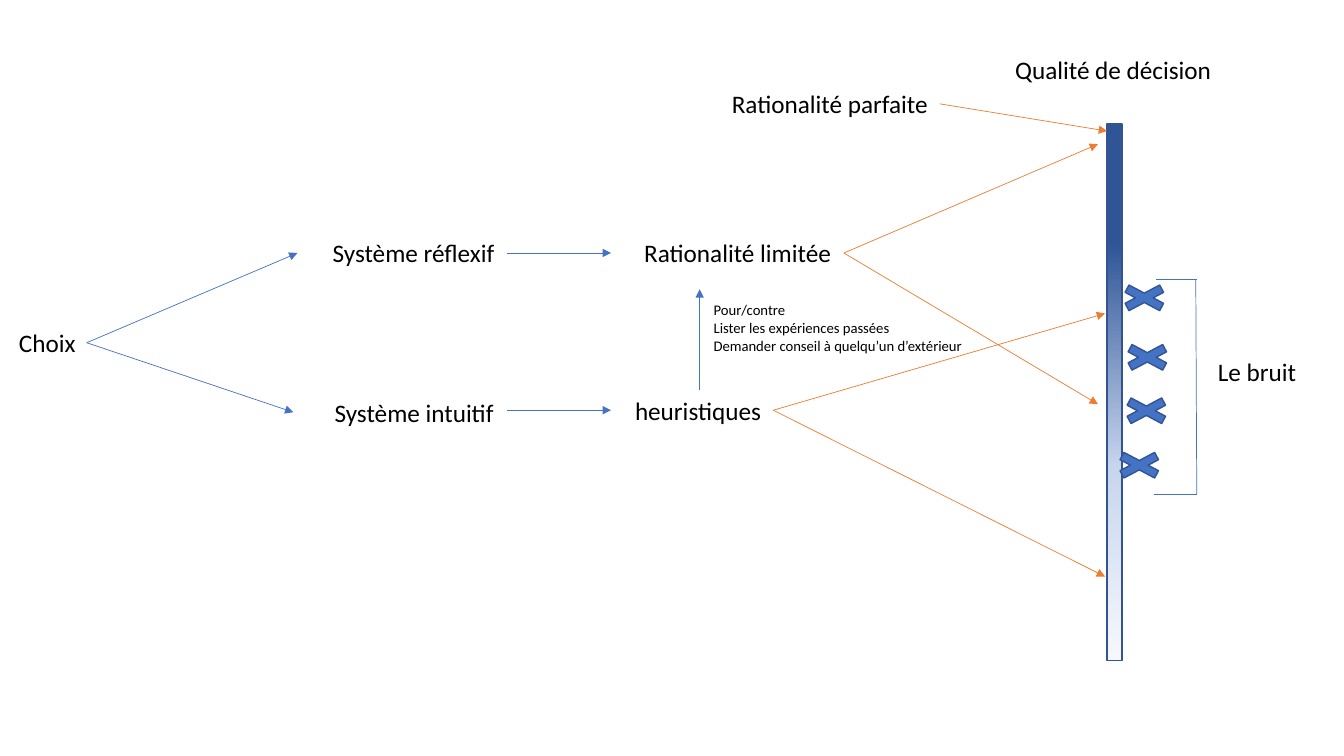
from copy import deepcopy
from dataclasses import dataclass

from lxml.etree import SubElement
from pptx import Presentation
from pptx.dml.color import RGBColor
from pptx.enum.shapes import MSO_CONNECTOR, MSO_SHAPE
from pptx.enum.text import MSO_AUTO_SIZE
from pptx.oxml.ns import qn
from pptx.shapes.autoshape import Shape
from pptx.util import Emu, Pt

PX = 9144  # EMU per px, 100 px to the inch
BLUE, ORANGE, OUTLINE, BLACK = "4472C4", "ED7D31", "325491", "000000"


@dataclass(frozen=True)
class Label:
    lines: tuple[str, ...]
    left: int
    top: int
    width: int
    height: int = 40
    size: float = 18


@dataclass(frozen=True)
class Link:
    start: tuple[int, int]
    end: tuple[int, int]
    color: str = BLUE
    arrow: bool = True


def px(length: int) -> Emu:
    return Emu(length * PX)


def rgb(color: str) -> RGBColor:
    return RGBColor.from_string(color)


def draw_label(label: Label) -> None:
    box = slide.shapes.add_textbox(
        px(label.left), px(label.top), px(label.width), px(label.height))
    frame = box.text_frame
    frame.word_wrap = False
    frame.auto_size = MSO_AUTO_SIZE.SHAPE_TO_FIT_TEXT
    for index, line in enumerate(label.lines):
        paragraph = frame.add_paragraph() if index else frame.paragraphs[0]
        run = paragraph.add_run()
        run.text = line
        run.font.name = "Calibri"
        run.font.size = Pt(label.size)
        run.font.color.rgb = rgb(BLACK)


def draw_link(link: Link) -> None:
    connector = slide.shapes.add_connector(
        MSO_CONNECTOR.STRAIGHT, *map(px, link.start + link.end))
    connector.line.color.rgb = rgb(link.color)
    connector.line.width = Pt(0.5)
    if link.arrow:
        SubElement(connector.line._get_or_add_ln(), qn("a:tailEnd"), type="triangle")
    SubElement(connector._element.spPr, qn("a:effectLst"))


def draw_outlined(kind: MSO_SHAPE, left: int, top: int, width: int, height: int) -> Shape:
    shape = slide.shapes.add_shape(kind, px(left), px(top), px(width), px(height))
    shape.shadow.inherit = False
    shape.line.color.rgb = rgb(OUTLINE)
    shape.line.width = Pt(1)
    return shape


# Starting points shared by diverging arrows
CHOICE, LIMITED, HEURISTICS = (86, 340), (837, 251), (767, 407)

LABELS = [
    Label(("Choix",), 9, 320, 77),
    Label(("Système réflexif",), 320, 231, 182),
    Label(("Système intuitif",), 322, 389, 180),
    Label(("Rationalité limitée",), 629, 231, 208),
    Label(("heuristiques",), 620, 387, 147),
    Label(("Rationalité parfaite",), 716, 83, 217),
    Label(("Qualité de décision",), 997, 49, 217),
    Label(("Pour/contre", "Lister les expériences passées",
           "Demander conseil à quelqu’un d’extérieur"), 698, 294, 272, 63, 10.5),
    Label(("Le bruit",), 1198, 349, 99),
]

LINKS = [
    # From the choice to the systems, then to the kinds of reasoning
    Link(CHOICE, (295, 251)),
    Link(CHOICE, (291, 409)),
    Link((503, 251), (606, 251)),
    Link((503, 407), (606, 407)),
    Link((694, 387), (694, 287)),
    # From the reasoning to the quality of the decision
    Link((932, 103), (1098, 130), ORANGE),
    Link(LIMITED, (1089, 143), ORANGE),
    Link(LIMITED, (1089, 401), ORANGE),
    Link(HEURISTICS, (1096, 311), ORANGE),
    Link(HEURISTICS, (1096, 572), ORANGE),
    # Bracket around the noise
    Link((1147, 277), (1187, 277), arrow=False),
    Link((1187, 490), (1186, 278), arrow=False),
    Link((1187, 490), (1145, 490), arrow=False),
]

QUALITY_STOPS = [(0, "F6F8FC"), (0.36, "C7D5ED"), (0.78, "2F5597")]
NOISE_MARKS = [(1102, 278), (1105, 337), (1104, 390), (1097, 444)]

presentation = Presentation()
presentation.slide_width, presentation.slide_height = px(1333), px(750)
slide = presentation.slides.add_slide(presentation.slide_layouts[6])

# Quality scale, pale at the bottom and dark at the top
quality_scale = draw_outlined(MSO_SHAPE.RECTANGLE, 1098, 123, 15, 532)
quality_scale.fill.gradient()
quality_scale.fill.gradient_angle = 90
stop_list = quality_scale._element.spPr.find(".//" + qn("a:gsLst"))
stop_list.append(deepcopy(stop_list[0]))
for stop, (position, color) in zip(quality_scale.fill.gradient_stops, QUALITY_STOPS):
    stop.position = position
    stop.color.rgb = rgb(color)

# Noise crosses
for left, top in NOISE_MARKS:
    noise_mark = draw_outlined(MSO_SHAPE.MATH_MULTIPLY, left, top, 66, 35)
    noise_mark.fill.solid()
    noise_mark.fill.fore_color.rgb = rgb(BLUE)

# Arrows, bracket and wording
for link in LINKS:
    draw_link(link)
for label in LABELS:
    draw_label(label)

presentation.save("out.pptx")
